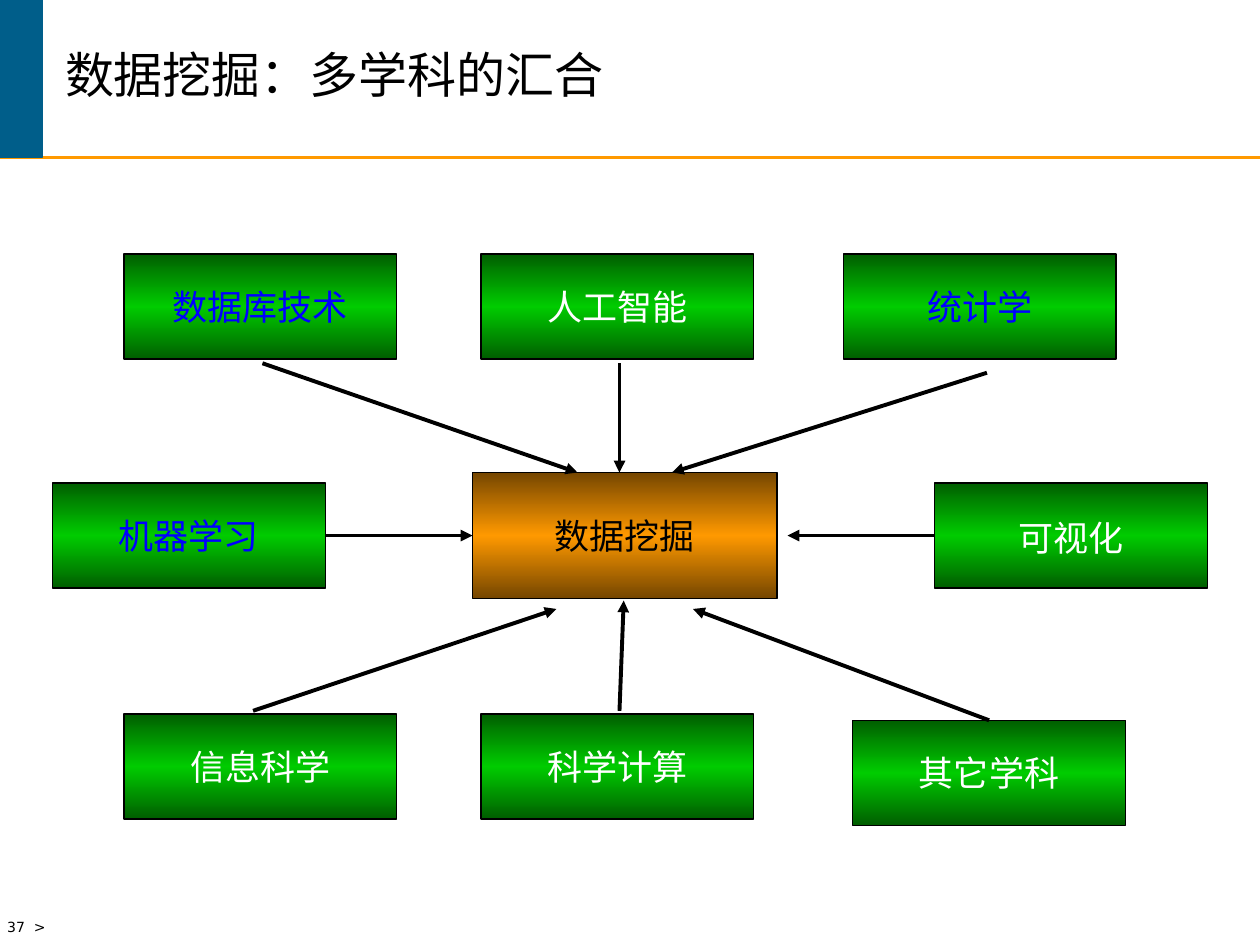
import copy

import pptx
import pptx.dml.color
import pptx.enum.dml
import pptx.enum.shapes
import pptx.enum.text
import pptx.oxml.ns
import pptx.oxml.xmlchemy
import pptx.util

RGB = pptx.dml.color.RGBColor
BLACK = RGB(0x00, 0x00, 0x00)
WHITE = RGB(0xFF, 0xFF, 0xFF)
BLUE = RGB(0x00, 0x00, 0xFF)
TEAL = RGB(0x00, 0x5E, 0x8A)
ORANGE = RGB(0xFF, 0x99, 0x00)
BROWN = RGB(0x75, 0x46, 0x00)
GREEN = RGB(0x00, 0xCC, 0x00)
DARK = RGB(0x00, 0x5E, 0x00)

COLS, ROWS = 120, 90   # grid of twelfths of an inch
NODE = (26, 10)        # size of an outer box

Pt = pptx.util.Pt
ALIGN = pptx.enum.text.PP_ALIGN
SIZE = pptx.enum.text.MSO_AUTO_SIZE
MIDDLE = pptx.enum.text.MSO_ANCHOR.MIDDLE
RECT = pptx.enum.shapes.MSO_SHAPE.RECTANGLE
STRAIGHT = pptx.enum.shapes.MSO_CONNECTOR.STRAIGHT
qn = pptx.oxml.ns.qn


def add(parent, tag, **attrs):
    """Append a DrawingML element to its parent."""
    child = pptx.oxml.xmlchemy.OxmlElement(tag)
    for key, value in attrs.items():
        child.set(key, value)
    parent.append(child)


class Deck:
    def __init__(self):
        self.prs = pptx.Presentation()
        self.prs.slide_width = pptx.util.Inches(10)
        self.prs.slide_height = pptx.util.Inches(7.5)
        self.slide = self.prs.slides.add_slide(self.prs.slide_layouts[5])
        self.shapes = self.slide.shapes

    def grid(self, *vals):
        """Turn column, row, column, row ... into lengths."""
        units = (self.prs.slide_width / COLS, self.prs.slide_height / ROWS)
        return [round(val * units[i % 2]) for i, val in enumerate(vals)]

    def words(self, shape, text, size, font, color, align, wrap=False):
        frame = shape.text_frame
        frame.word_wrap = wrap
        para = frame.paragraphs[0]
        para.alignment = align
        run = para.add_run()
        run.text = text
        run.font.size = Pt(size)
        run.font.name = font
        run.font.color.rgb = color
        add(run.font._element, "a:ea", typeface=font)
        return para

    def title(self, text, *spot):
        shape = self.shapes.title
        shape.left, shape.top, shape.width, shape.height = self.grid(*spot)
        para = self.words(shape, text, 28, "Noto Sans CJK SC", BLACK,
                          ALIGN.LEFT, True)
        para.line_spacing = 0.85
        shape.text_frame.auto_size = SIZE.NONE
        shape.text_frame.vertical_anchor = MIDDLE

    def label(self, text, *spot):
        shape = self.shapes.add_textbox(*self.grid(*spot))
        self.words(shape, text, 8, "DejaVu Sans", BLACK, ALIGN.LEFT)
        shape.text_frame.auto_size = SIZE.SHAPE_TO_FIT_TEXT

    def block(self, color, *spot):
        shape = self.shapes.add_shape(RECT, *self.grid(*spot))
        shape.shadow.inherit = False
        shape.fill.solid()
        shape.fill.fore_color.rgb = color
        shape.line.color.rgb = color
        shape.line.width = Pt(1)

    def box(self, text, spot, color=WHITE, size=NODE, edge=DARK, core=GREEN):
        shape = self.shapes.add_shape(RECT, *self.grid(*spot, *size))
        shape.shadow.inherit = False
        shape.line.color.rgb = BLACK
        shape.line.width = Pt(0.75)
        # Dark edges around a bright middle band
        shape.fill.gradient()
        shape.fill.gradient_angle = 90
        stops = shape._element.spPr.find(qn("a:gradFill")).find(qn("a:gsLst"))
        stops.insert(1, copy.deepcopy(stops[0]))
        for stop, place, tone in zip(shape.fill.gradient_stops,
                                     (0, 0.5, 1), (edge, core, edge)):
            stop.position = place
            stop.color.rgb = tone
        shape.text_frame.vertical_anchor = MIDDLE
        self.words(shape, text, 20, "Roboto", color, ALIGN.CENTER)
        return shape

    def line(self, start, end, color=BLACK, width=2.25, head=True):
        line = self.shapes.add_connector(STRAIGHT, *self.grid(*start, *end))
        line.line.color.rgb = color
        line.line.width = Pt(width)
        if head:
            add(line._element.spPr.find(qn("a:ln")), "a:tailEnd",
                type="triangle")
        add(line._element.spPr, "a:effectLst")
        return line


def main():
    deck = Deck()

    # Frame, page mark and title
    deck.line((0, 15), (COLS, 15), ORANGE, 1.5, False)
    deck.block(TEAL, 0, 0, 4, 15)
    deck.label("37  >", -0.5, 86.9, 16.5, 3.1)
    deck.title("数据挖掘：多学科的汇合", 5, 0, 112, 15)

    # Centre and the fields around it
    core = deck.box("数据挖掘", (45, 45), BLACK, (29, 12), BROWN, ORANGE)
    deck.box("数据库技术", (11.8, 24.2), BLUE)
    deck.box("人工智能", (45.8, 24.2))
    deck.box("统计学", (80.3, 24.2), BLUE)
    learn = deck.box("机器学习", (5, 46), BLUE)
    view = deck.box("可视化", (89, 46))
    view.text_frame.paragraphs[0].line_spacing = 1.1
    deck.box("信息科学", (11.8, 68))
    deck.box("科学计算", (45.8, 68))
    other = deck.box("其它学科", (81.2, 68.6))

    # Arrows joined to boxes
    arrow = deck.line((31, 51), (45, 51))
    arrow.begin_connect(learn, 3)
    arrow.end_connect(core, 1)
    deck.line((89, 51), (75, 51)).begin_connect(view, 1)
    deck.line((94, 68.6), (66, 58)).begin_connect(other, 0)

    # Free arrows
    for start, end in (((25, 34.6), (55, 45)),
                       ((59, 34.6), (59, 45)),
                       ((94, 35.5), (64, 45)),
                       ((24.1, 67.7), (53, 58)),
                       ((59, 67.7), (59.4, 57.2))):
        deck.line(start, end)

    deck.prs.save("out.pptx")


if __name__ == "__main__":
    main()
